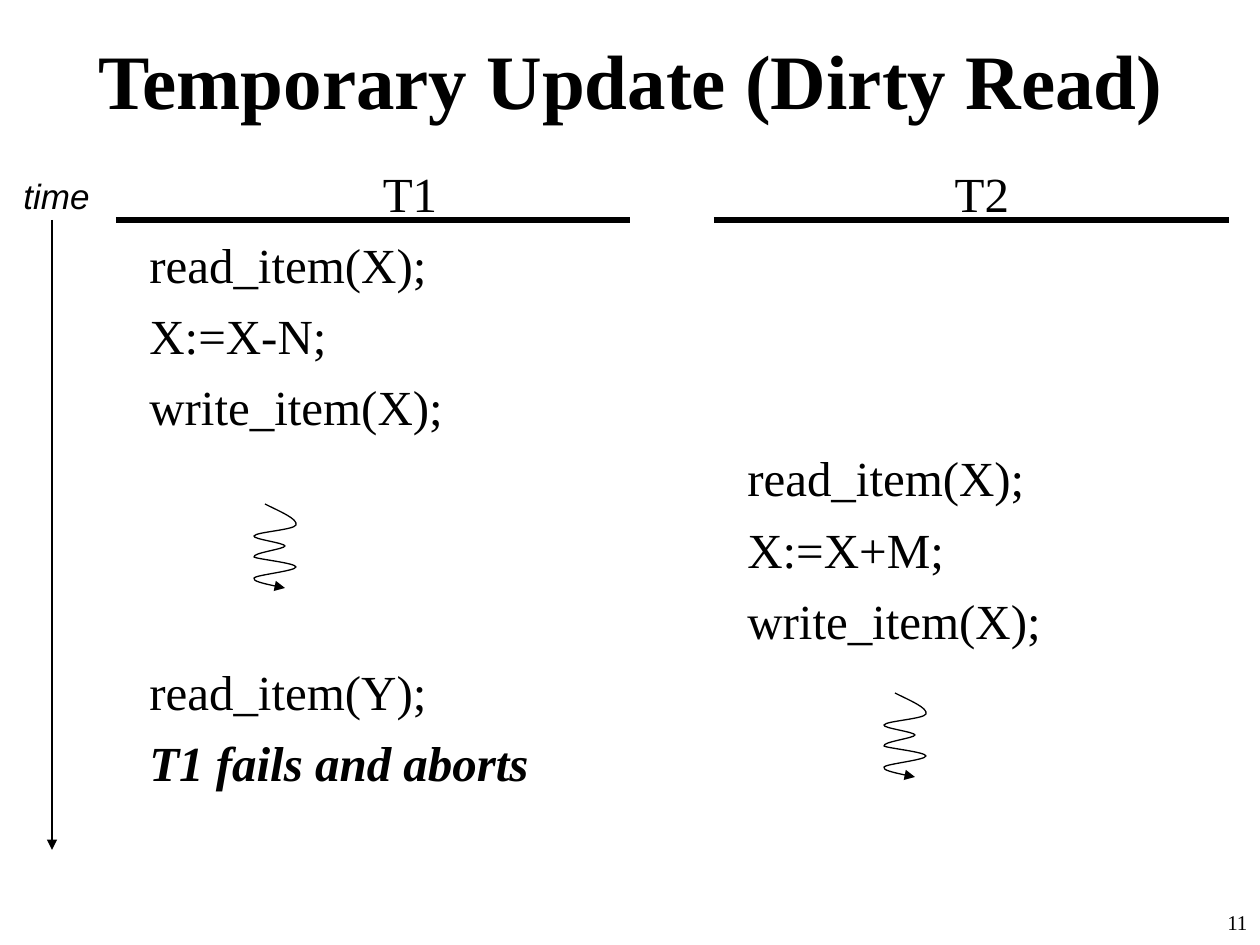
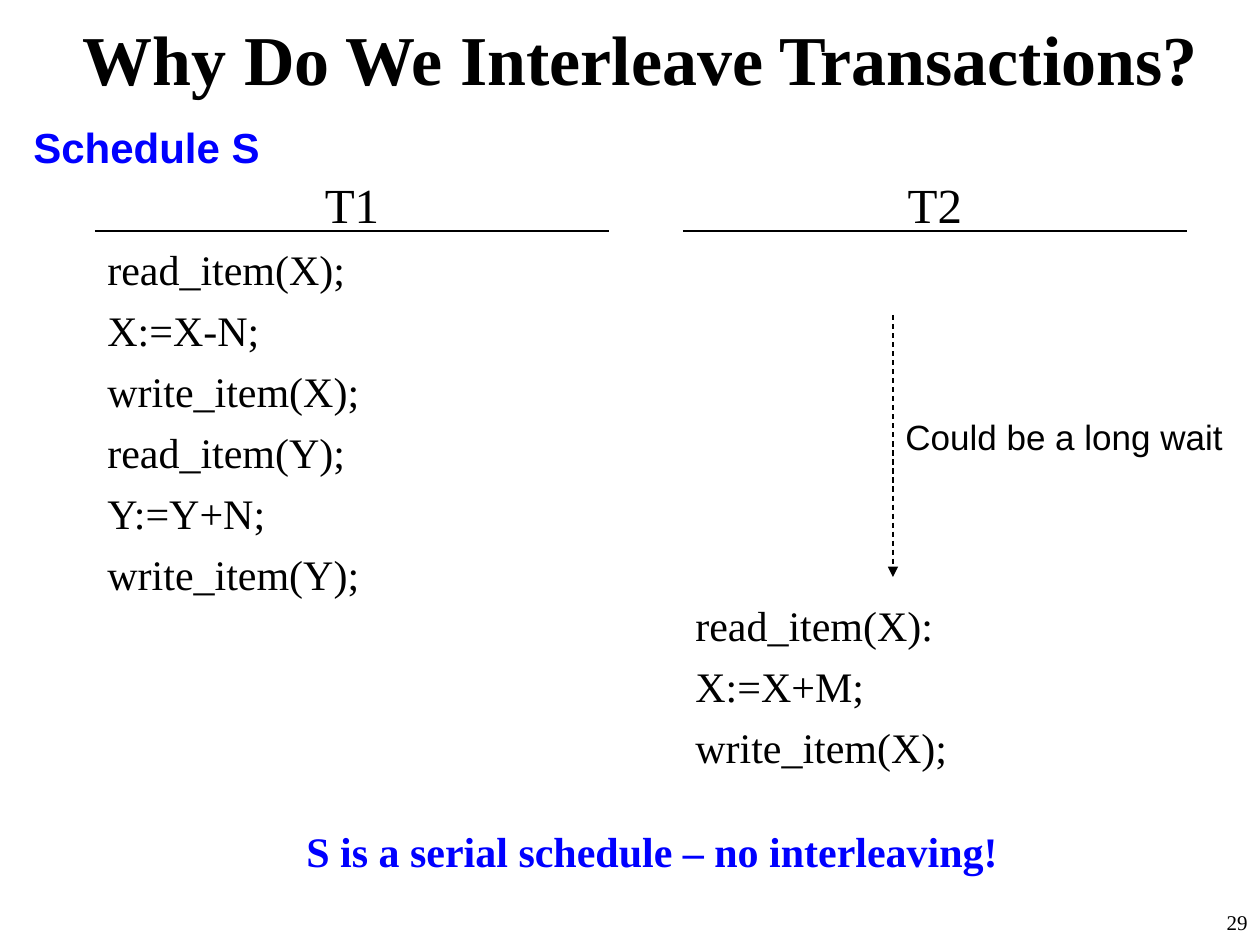
"""Build two slides on interleaved database transactions."""
from lxml import etree
from pptx import Presentation
from pptx.dml.color import RGBColor
from pptx.enum.dml import MSO_LINE
from pptx.enum.shapes import MSO_CONNECTOR
from pptx.enum.text import MSO_ANCHOR, MSO_AUTO_SIZE, PP_ALIGN
from pptx.oxml.ns import qn
from pptx.util import Pt

PX = 7257
SERIF, SANS = "Times New Roman", "Arial"
BLACK, BLUE = "000000", "0000FF"
LEFT, CENTER, RIGHT = PP_ALIGN.LEFT, PP_ALIGN.CENTER, PP_ALIGN.RIGHT
HEAD_SIZE = 28
SPACING = 0.25
BLANK_ROW = 40.7


def write(sp, box, paras, font=SERIF, color=BLACK, align=LEFT, wrap=True, anchor=MSO_ANCHOR.TOP):
    """Place a shape and fill it with (text, size, style, space before) paragraphs."""
    sp.left, sp.top, sp.width, sp.height = [v * PX for v in box]
    tf = sp.text_frame
    tf.auto_size = MSO_AUTO_SIZE.NONE
    tf.word_wrap = wrap
    tf.vertical_anchor = anchor
    for i, (text, size, style, before) in enumerate(paras):
        p = tf.add_paragraph() if i else tf.paragraphs[0]
        p.alignment = align
        p.space_before = Pt(before)
        r = p.add_run()
        r.text = text
        r.font.name = font
        r.font.size = Pt(size)
        r.font.bold = "b" in style
        r.font.italic = "i" in style
        r.font.color.rgb = RGBColor.from_string(color)
    return tf


def stroke(sp, width, arrow=False, dash=None):
    """Draw a black line without shadow, with an optional arrowhead."""
    sp.line.color.rgb = RGBColor.from_string(BLACK)
    sp.line.width = Pt(width)
    if dash:
        sp.line.dash_style = dash
    if arrow:
        etree.SubElement(sp.line._get_or_add_ln(), qn("a:tailEnd"), type="triangle")
    etree.SubElement(sp._element.spPr, qn("a:effectLst"))


slides = [
    dict(
        title="Temporary Update (Dirty Read) ", title_size=44, title_height=157, number="11",
        size=28, rule_y=220, rule_width=3,
        columns=[
            ("T1", (137, 157, 546, 714), (116, 630), [
                ("read_item(X);", "", 0), ("X:=X-N;", "", 0), ("write_item(X);", "", 0),
                ("read_item(Y);", "", 3), ("T1 fails and aborts", "bi", 0)]),
            ("T2", (735, 157, 494, 714), (714, 1229), [
                ("read_item(X);", "", 3), ("X:=X+M;", "", 0), ("write_item(X);", "", 0)]),
        ],
        arrow=(52, 220, 850), arrow_width=1, dash=None,
        labels=[("time", (11, 168, 91, 55), 20, "i", SANS, BLACK, False)],
        waves=[(265, 504), (895, 693)],
    ),
    dict(
        title="Why Do We Interleave Transactions?", title_size=40, title_height=116, number="29",
        size=24, rule_y=231, rule_width=0.75,
        columns=[
            ("T1", (95, 168, 514, 620), (95, 609), [
                ("read_item(X);", "", 0), ("X:=X-N;", "", 0), ("write_item(X);", "", 0),
                ("read_item(Y);", "", 0), ("Y:=Y+N;", "", 0), ("write_item(Y);", "", 0)]),
            ("T2", (683, 168, 504, 714), (683, 1187), [
                ("read_item(X):", "", 5), ("X:=X+M;", "", 0), ("write_item(X);", "", 0)]),
        ],
        arrow=(893, 315, 577), arrow_width=0.75, dash=MSO_LINE.DASH,
        labels=[
            ("Could be a long wait", (893, 409, 343, 55), 20, "", SANS, BLACK, False),
            ("S is a serial schedule – no interleaving!", (294, 819, 777, 63), 24, "b", SERIF, BLUE, True),
            ("Schedule S", (21, 115, 251, 63), 24, "b", SANS, BLUE, False),
        ],
        waves=[],
    ),
]

WAVE = [
    (16, 8), (33, 15), (31, 21),
    (29, 26), (-9, 28), (-11, 32),
    (-13, 35), (20, 39), (20, 42),
    (20, 45), (-13, 49), (-11, 53),
    (-9, 55), (31, 59), (31, 63),
    (31, 67), (-9, 71), (-11, 74),
    (-13, 77), (4, 81), (20, 84),
]

prs = Presentation()
prs.slide_width, prs.slide_height = 1260 * PX, 945 * PX

for data in slides:
    s = prs.slides.add_slide(prs.slide_layouts[5])
    write(s.shapes.title, (53, 0, 1175, data["title_height"]),
          [(data["title"], data["title_size"], "b", 0)],
          align=CENTER, anchor=MSO_ANCHOR.MIDDLE)
    write(s.shapes.add_textbox(0, 0, 0, 0), (998, 903, 262, 63),
          [(data["number"], 12, "", 0)], align=RIGHT)

    size, y = data["size"], data["rule_y"]
    for head, box, (x1, x2), steps in data["columns"]:
        rows = [(head, HEAD_SIZE, "", 0)]
        for text, style, blanks in steps:
            rows.append((text, size, style, size * SPACING + blanks * BLANK_ROW))
        tf = write(s.shapes.add_textbox(0, 0, 0, 0), box, rows)
        tf.paragraphs[0].alignment = CENTER
        rule = s.shapes.add_connector(MSO_CONNECTOR.STRAIGHT, x1 * PX, y * PX, x2 * PX, y * PX)
        stroke(rule, data["rule_width"])

    x, top, bottom = data["arrow"]
    arrow = s.shapes.add_connector(MSO_CONNECTOR.STRAIGHT, x * PX, top * PX, x * PX, bottom * PX)
    stroke(arrow, data["arrow_width"], True, data["dash"])

    for text, box, label_size, style, font, color, wrap in data["labels"]:
        write(s.shapes.add_textbox(0, 0, 0, 0), box, [(text, label_size, style, 0)],
              font=font, color=color, wrap=wrap)

    for x, y in data["waves"]:
        fb = s.shapes.build_freeform(x * PX, y * PX)
        fb.add_line_segments([((x + dx) * PX, (y + dy) * PX) for dx, dy in WAVE], close=False)
        wave = fb.convert_to_shape()
        segments = list(wave._element.iter(qn("a:lnTo")))
        for i in range(0, len(segments), 3):
            curve = etree.SubElement(segments[i].getparent(), qn("a:cubicBezTo"))
            for segment in segments[i:i + 3]:
                curve.append(segment[0])
                segment.getparent().remove(segment)
        wave.fill.background()
        stroke(wave, 0.75, True)

prs.save("out.pptx")
